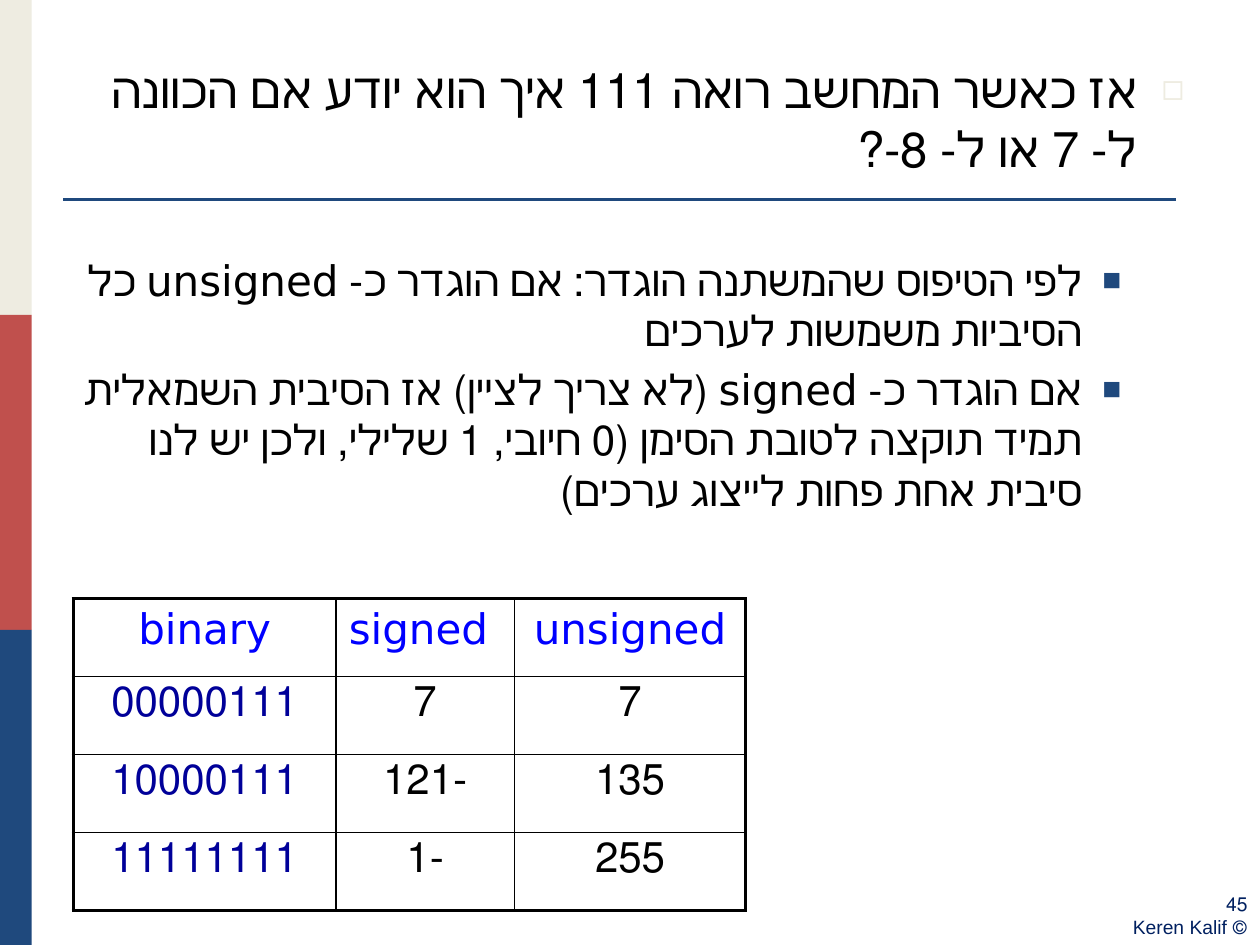
from dataclasses import dataclass

from lxml import etree
from pptx import Presentation
from pptx import util as u
from pptx.dml.color import RGBColor
from pptx.enum import shapes, text
from pptx.oxml import ns


@dataclass(frozen=True)
class Theme:
    cream: str = "EEECE1"
    red: str = "C0504D"
    navy: str = "1F497D"
    footer: str = "002060"
    black: str = "000000"
    header: str = "0000FF"
    binary: str = "000099"
    font: str = "DejaVu Sans"
    plain_font: str = "Arial"
    heading_size: int = 28
    body_size: int = 24
    footer_size: int = 11
    thick: float = 2.25
    thin: float = 1


@dataclass(frozen=True)
class Point:
    words: str
    level: int
    bullet: str
    bullet_color: str
    size: int
    margin: float
    indent: float


T = Theme()
HEADING = Point("אז כאשר המחשב רואה 111 איך הוא יודע אם הכוונה ל- 7 או ל- 8-?",
                0, "◻", T.cream, T.heading_size, 0.95, -0.95)
ANSWERS = [
    Point(words, 1, "■", T.navy, T.body_size, 2.06, -0.79)
    for words in (
        "לפי הטיפוס שהמשתנה הוגדר: אם הוגדר כ- unsigned כל הסיביות משמשות לערכים",
        "אם הוגדר כ- signed (לא צריך לציין) אז הסיבית השמאלית תמיד תוקצה לטובת "
        "הסימן (0 חיובי, 1 שלילי, ולכן יש לנו סיבית אחת פחות לייצוג ערכים)",
    )
]
ROWS = [
    ("binary", "signed ", "unsigned"),
    ("00000111", "7", "7"),
    ("10000111", "-121", "135"),
    ("11111111", "-1", "255"),
]
COLUMN_WIDTHS = (5.29, 3.6, 4.66)
ROW_HEIGHT = 1.57


def add(parent, tag: str, **attrs: str):
    return etree.SubElement(parent, ns.qn(tag), attrs)


def style(p, size: int, color: str, font: str, align, rtl: bool = True) -> None:
    p.alignment = align
    p._p.get_or_add_pPr().set("rtl", "1" if rtl else "0")
    for r in p.runs:
        r.font.size = u.Pt(size)
        r.font.name = font
        r.font.color.rgb = RGBColor.from_string(color)


def write_point(p, point: Point) -> None:
    p.text = point.words
    p.level = point.level
    style(p, point.size, T.black, T.font, text.PP_ALIGN.RIGHT)
    pPr = p._p.get_or_add_pPr()
    pPr.set("marL", str(u.Cm(point.margin)))
    pPr.set("indent", str(u.Cm(point.indent)))
    add(add(pPr, "a:buClr"), "a:srgbClr", val=point.bullet_color)
    add(pPr, "a:buSzPct", val="75000")
    add(pPr, "a:buFont", typeface=T.plain_font)
    add(pPr, "a:buChar", char=point.bullet)


def draw_band(s, index: int, color: str) -> None:
    height = 19.05 / 3
    sp = s.shapes.add_shape(shapes.MSO_SHAPE.RECTANGLE, 0, u.Cm(index * height),
                            u.Cm(0.64), u.Cm(height))
    sp.shadow.inherit = False
    sp.fill.solid()
    sp.fill.fore_color.rgb = RGBColor.from_string(color)
    sp.line.fill.background()


def draw_rule(s) -> None:
    line = s.shapes.add_connector(shapes.MSO_CONNECTOR.STRAIGHT, u.Cm(1.27), u.Cm(4.02),
                                  u.Cm(23.7), u.Cm(4.02))
    line.line.color.rgb = RGBColor.from_string(T.navy)
    line.line.width = u.Pt(1.5)
    add(line._element.spPr, "a:effectLst")


def draw_footer(s) -> None:
    tf = s.shapes.add_textbox(u.Cm(22.02), u.Cm(17.86), u.Cm(3.38), u.Cm(1.19)).text_frame
    tf.word_wrap = True
    tf.margin_left = 0
    tf.text = "45\n© Keren Kalif"
    for p in tf.paragraphs:
        style(p, T.footer_size, T.footer, T.plain_font, text.PP_ALIGN.RIGHT)


def fill_body(body) -> None:
    body.left, body.top = u.Cm(1.27), u.Cm(1.07)
    body.width, body.height = u.Cm(22.86), u.Cm(17.15)
    tf = body.text_frame
    tf.auto_size = text.MSO_AUTO_SIZE.NONE
    tf.margin_left = 0
    write_point(tf.paragraphs[0], HEADING)
    for answer in ANSWERS:
        write_point(tf.add_paragraph(), answer)
    tf.paragraphs[1].space_before = u.Pt(44)


def set_borders(cell, row: int, col: int) -> None:
    outer = {"L": col == 0, "R": col == len(COLUMN_WIDTHS) - 1,
             "T": row == 0, "B": row == len(ROWS) - 1}
    tcPr = cell._tc.get_or_add_tcPr()
    for index, (side, is_outer) in enumerate(outer.items()):
        width = u.Pt(T.thick if is_outer else T.thin)
        ln = etree.Element(ns.qn(f"a:ln{side}"), w=str(width))
        add(add(ln, "a:solidFill"), "a:srgbClr", val=T.black)
        tcPr.insert(index, ln)


def draw_table(s) -> None:
    frame = s.shapes.add_table(len(ROWS), len(COLUMN_WIDTHS), u.Cm(1.48), u.Cm(12.07),
                               u.Cm(sum(COLUMN_WIDTHS)), u.Cm(ROW_HEIGHT * len(ROWS)))
    table = frame.table
    table.first_row = table.horz_banding = False
    for column, width in zip(table.columns, COLUMN_WIDTHS):
        column.width = u.Cm(width)
    for i, values in enumerate(ROWS):
        table.rows[i].height = u.Cm(ROW_HEIGHT)
        for j, value in enumerate(values):
            cell = table.cell(i, j)
            cell.text = value
            color = T.header if i == 0 else T.binary if j == 0 else T.black
            style(cell.text_frame.paragraphs[0], T.body_size, color, T.font,
                  text.PP_ALIGN.CENTER, rtl=(i, j) != (0, 1))
            cell.fill.background()
            set_borders(cell, i, j)


def main() -> None:
    prs = Presentation()
    prs.slide_width, prs.slide_height = u.Cm(25.4), u.Cm(19.05)
    s = prs.slides.add_slide(prs.slide_layouts[1])
    title = s.shapes.title._element
    title.getparent().remove(title)
    for index, color in enumerate((T.cream, T.red, T.navy)):
        draw_band(s, index, color)
    draw_rule(s)
    draw_footer(s)
    fill_body(s.placeholders[1])
    draw_table(s)
    prs.save("out.pptx")


if __name__ == "__main__":
    main()
